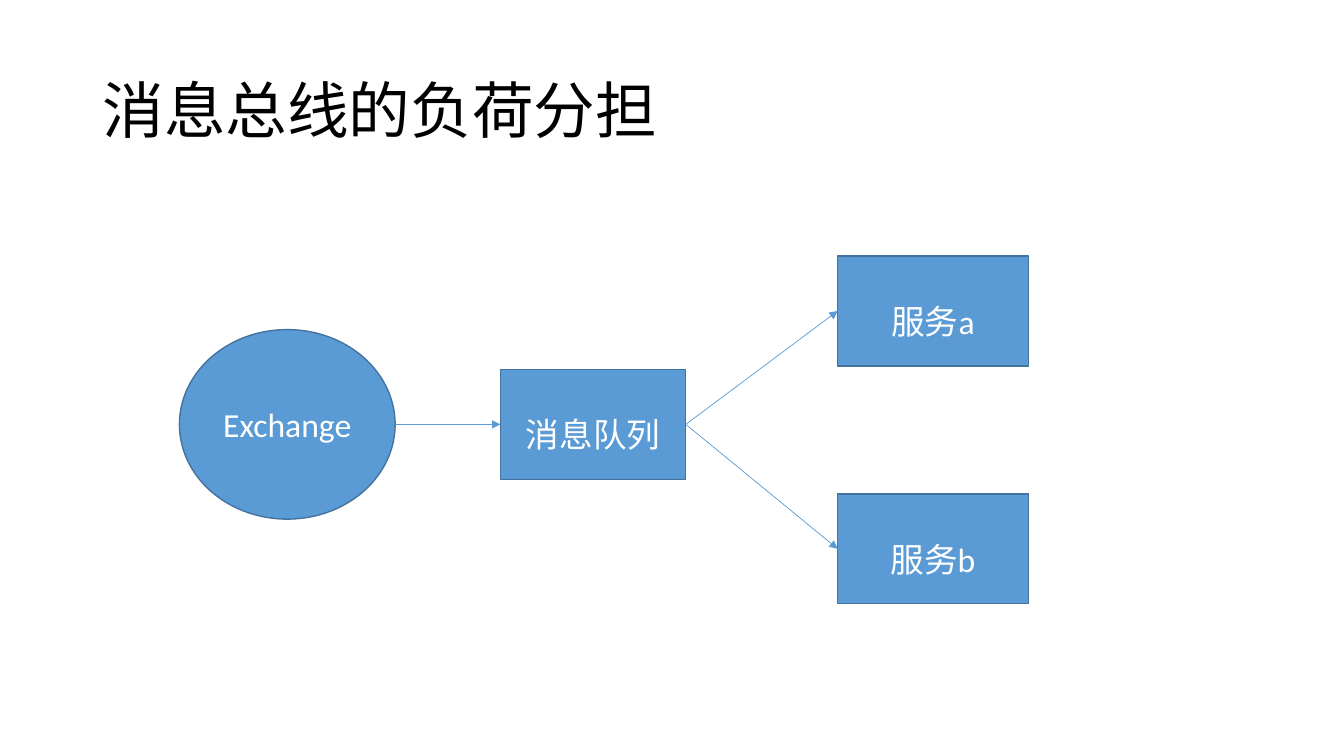
from dataclasses import dataclass

from pptx import Presentation
from pptx import util as u
from pptx.dml import color
from pptx.enum import shapes, text
from pptx.oxml import ns, xmlchemy

WIDTH, HEIGHT = u.Inches(13.333), u.Inches(7.5)
COLORS = {
    "fill": "5B9BD5",
    "outline": "43739E",
    "label": "FFFFFF",
    "title": "000000",
}
RECT, OVAL = shapes.MSO_SHAPE.RECTANGLE, shapes.MSO_SHAPE.OVAL
RECT_LEFT, RECT_RIGHT = 1, 3


@dataclass(frozen=True)
class Box:
    left: float
    top: float
    width: float
    height: float


@dataclass(frozen=True)
class Node:
    label: str
    box: Box
    kind: int = RECT
    spacing: float = 1.5


@dataclass(frozen=True)
class Arrow:
    source: str
    target: str


ROW_HEIGHT = 14.53
TITLE_BOX = Box(6.88, 5.33, 86.25, 19.33)
NODES = (
    Node("Exchange", Box(13.35, 43.6, 16.05, 25.07), OVAL, 1.0),
    Node("服务a", Box(62.33, 33.87, 14.18, ROW_HEIGHT)),
    Node("消息队列", Box(37.23, 48.87, 13.8, ROW_HEIGHT)),
    Node("服务b", Box(62.33, 65.33, 14.18, ROW_HEIGHT)),
)
ARROWS = (
    Arrow("消息队列", "服务a"),
    Arrow("Exchange", "消息队列"),
    Arrow("消息队列", "服务b"),
)


def rgb(name: str) -> color.RGBColor:
    return color.RGBColor.from_string(COLORS[name])


def apply(target, values: dict) -> None:
    for name, value in values.items():
        setattr(target, name, value)


def frame(box: Box) -> dict:
    return {
        "left": round(WIDTH * box.left / 100),
        "top": round(HEIGHT * box.top / 100),
        "width": round(WIDTH * box.width / 100),
        "height": round(HEIGHT * box.height / 100),
    }


def write(tf, label: str, size: int, ink: str, paragraph: dict) -> None:
    apply(tf, {"word_wrap": True, "vertical_anchor": text.MSO_ANCHOR.MIDDLE})
    p = tf.paragraphs[0]
    apply(p, paragraph)
    r = p.add_run()
    r.text = label
    apply(r.font, {"size": u.Pt(size), "name": "Calibri"})
    r.font.color.rgb = rgb(ink)


def draw_title(s, label: str) -> None:
    apply(s.shapes.title, frame(TITLE_BOX))
    write(s.shapes.title.text_frame, label, 44, "title",
          {"alignment": text.PP_ALIGN.LEFT, "line_spacing": 0.9})


def draw_node(s, node: Node):
    sp = s.shapes.add_shape(node.kind, **frame(node.box))
    sp.shadow.inherit = False
    sp.fill.solid()
    sp.fill.fore_color.rgb = rgb("fill")
    sp.line.color.rgb = rgb("outline")
    sp.line.width = u.Pt(1)
    write(sp.text_frame, node.label, 24, "label",
          {"alignment": text.PP_ALIGN.CENTER, "line_spacing": node.spacing})
    return sp


def draw_arrow(s, source, target) -> None:
    line = s.shapes.add_connector(
        shapes.MSO_CONNECTOR.STRAIGHT,
        source.left + source.width, source.top + source.height // 2,
        target.left, target.top + target.height // 2)
    if source.auto_shape_type == RECT:
        line.begin_connect(source, RECT_RIGHT)
    line.end_connect(target, RECT_LEFT)
    line.line.color.rgb = rgb("fill")
    line.line.width = u.Pt(0.5)
    tail = xmlchemy.OxmlElement("a:tailEnd")
    tail.set("type", "triangle")
    properties = line._element.spPr
    properties.find(ns.qn("a:ln")).append(tail)
    properties.append(xmlchemy.OxmlElement("a:effectLst"))


def main() -> None:
    prs = Presentation()
    apply(prs, {"slide_width": WIDTH, "slide_height": HEIGHT})
    s = prs.slides.add_slide(prs.slide_layouts.get_by_name("Title Only"))
    draw_title(s, "消息总线的负荷分担")
    drawn = {node.label: draw_node(s, node) for node in NODES}
    for arrow in ARROWS:
        draw_arrow(s, drawn[arrow.source], drawn[arrow.target])
    prs.save("out.pptx")


if __name__ == "__main__":
    main()
